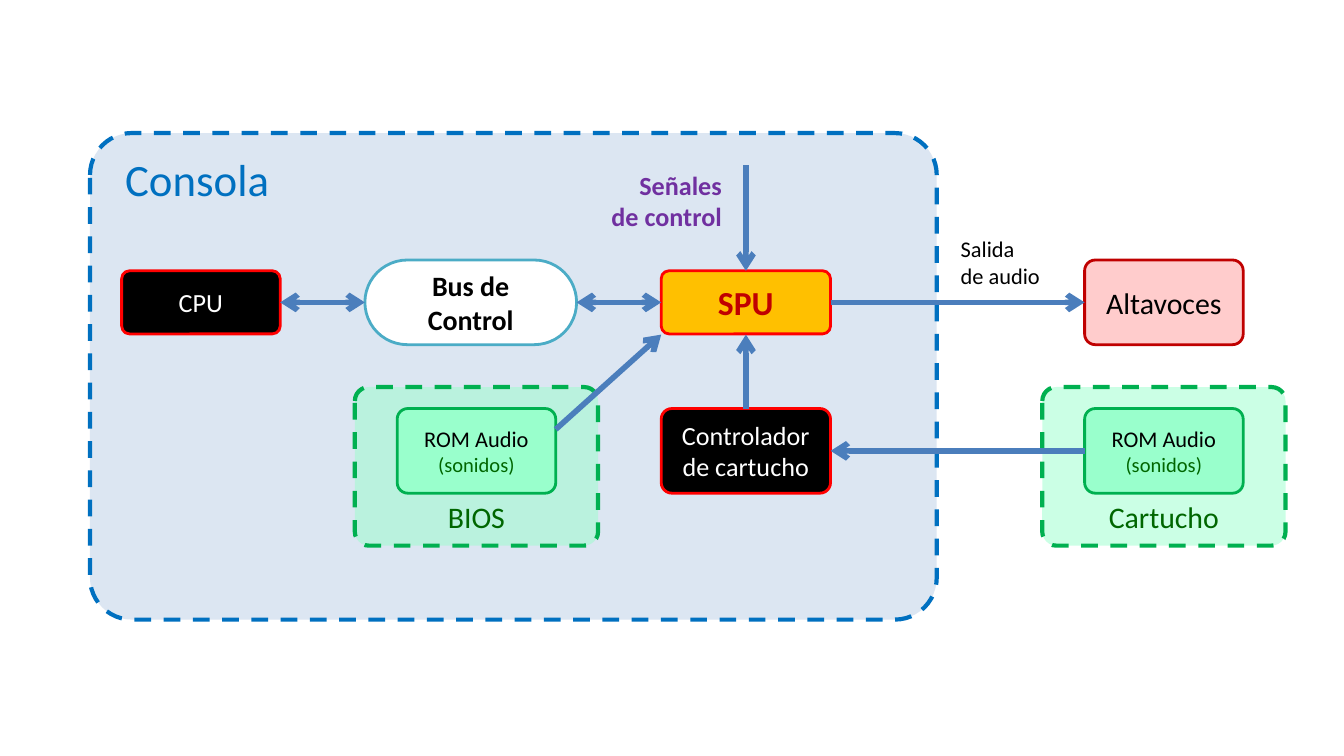
import pptx
import pptx.util
import pptx.oxml
from pptx.dml.color import RGBColor
from pptx.enum.dml import MSO_LINE
from pptx.enum.shapes import MSO_CONNECTOR, MSO_SHAPE
from pptx.enum.text import MSO_ANCHOR, MSO_AUTO_SIZE, PP_ALIGN
from pptx.oxml.ns import qn

PX = 4572  # 200 px to the inch
FONT = "Calibri"
BLACK = RGBColor(0x00, 0x00, 0x00)
WHITE = RGBColor(0xFF, 0xFF, 0xFF)
RED = RGBColor(0xFF, 0x00, 0x00)
DARK_RED = RGBColor(0xC0, 0x00, 0x00)
PINK = RGBColor(0xFF, 0xCC, 0xCC)
AMBER = RGBColor(0xFF, 0xC0, 0x00)
PURPLE = RGBColor(0x70, 0x30, 0xA0)
BLUE = RGBColor(0x00, 0x70, 0xC0)
PALE_BLUE = RGBColor(0xDC, 0xE6, 0xF2)
ARROW_BLUE = RGBColor(0x4B, 0x7E, 0xBC)
TEAL = RGBColor(0x4B, 0xAC, 0xC6)
GREEN = RGBColor(0x00, 0xB0, 0x50)
DARK_GREEN = RGBColor(0x00, 0x66, 0x00)
MINT = RGBColor(0x99, 0xFF, 0xCC)


def emu(*lengths):
    return [pptx.util.Emu(n * PX) for n in lengths]


def write(sp, lines, align, anchor, bold=False):
    """Fill a shape with paragraphs given as (text, size, colour)."""
    tf = sp.text_frame
    tf.word_wrap = True
    tf.vertical_anchor = anchor
    tf.text = "\n".join(text for text, _, _ in lines)
    for p, (_, size, color) in zip(tf.paragraphs, lines):
        p.alignment = align
        font = p.runs[0].font
        font.name, font.size, font.bold = FONT, pptx.util.Pt(size), bold
        font.color.rgb = color


def block(s, box, lines, fill, line, radius=0.125, bold=False,
          align=PP_ALIGN.CENTER, anchor=MSO_ANCHOR.MIDDLE, dashed=False):
    sp = s.shapes.add_shape(MSO_SHAPE.ROUNDED_RECTANGLE, *emu(*box))
    sp.adjustments[0] = radius
    sp.shadow.inherit = False
    sp.fill.solid()
    sp.fill.fore_color.rgb = fill
    sp.line.color.rgb = line
    sp.line.width = pptx.util.Pt(2.25 if dashed else 1.5)
    if dashed:
        sp.line.dash_style = MSO_LINE.DASH
    write(sp, lines, align, anchor, bold)
    return sp


def label(s, box, lines, align=PP_ALIGN.LEFT, bold=False):
    sp = s.shapes.add_textbox(*emu(*box))
    write(sp, lines, align, MSO_ANCHOR.TOP, bold)
    sp.text_frame.auto_size = MSO_AUTO_SIZE.SHAPE_TO_FIT_TEXT


def arrow(s, start, end, both=False):
    cn = s.shapes.add_connector(MSO_CONNECTOR.STRAIGHT, *emu(*start, *end))
    cn.line.color.rgb = ARROW_BLUE
    cn.line.width = pptx.util.Pt(3)
    ln = cn.line._get_or_add_ln()
    for tag in ("a:headEnd", "a:tailEnd") if both else ("a:tailEnd",):
        ln.append(ln.makeelement(qn(tag), {"type": "arrow"}))
    spPr = cn._element.spPr
    spPr.append(spPr.makeelement(qn("a:effectLst"), {}))


def rom_group(s, box, name):
    """Translucent dashed frame holding an audio ROM."""
    x, y, w, h = box
    sp = block(s, box, [(name, 16, DARK_GREEN)], MINT, GREEN, radius=0.088,
               anchor=MSO_ANCHOR.BOTTOM, dashed=True)
    clr = sp.fill._xPr.find(qn("a:solidFill"))[0]
    clr.append(clr.makeelement(qn("a:alpha"), {"val": "50000"}))
    block(s, (x + 63, y + 32, 236, 126),
          [("ROM Audio", 12, BLACK), ("(sonidos)", 11, DARK_GREEN)], MINT, GREEN)


def console(s, box):
    x, y, w, h = box
    mid = y + 252  # axis of the main row
    row_top, row_bottom = y + 205, y + 300
    spu_x, spu_w = x + 850, 252
    spu_mid = spu_x + spu_w // 2
    controller_top = y + 410
    sp = block(s, box, [("Consola", 24, BLUE)], PALE_BLUE, BLUE, radius=0.086,
               align=PP_ALIGN.LEFT, anchor=MSO_ANCHOR.TOP, dashed=True)
    sp.text_frame.margin_left = emu(34)[0]

    block(s, (x + 47, row_top, 236, 94), [("CPU", 14, WHITE)], BLACK, RED)
    block(s, (x + 409, y + 189, 315, 126), [("Bus de Control", 15, BLACK)],
          WHITE, TEAL, radius=0.5, bold=True)
    block(s, (spu_x, row_top, spu_w, 94), [("SPU", 18, DARK_RED)], AMBER, RED,
          bold=True)
    block(s, (spu_x, controller_top, spu_w, 126),
          [("Controlador de cartucho", 14, WHITE)], BLACK, RED)
    label(s, (x + 740, y + 44, 220, 114),
          [("Señales", 14, PURPLE), ("de control", 14, PURPLE)],
          align=PP_ALIGN.RIGHT, bold=True)
    rom_group(s, (x + 394, y + 378, 362, 236), "BIOS")

    arrow(s, (x + 283, mid), (x + 409, mid), both=True)
    arrow(s, (x + 724, mid), (spu_x, mid), both=True)
    arrow(s, (spu_mid, y + 48), (spu_mid, row_top))
    arrow(s, (spu_mid, controller_top), (spu_mid, row_bottom))
    arrow(s, (x + 693, y + 441), (spu_x, row_bottom))


def peripherals(s, box):
    """Speakers and cartridge, with their links to the console on the left."""
    x, y, w, h = box
    inner, port = x + 63, x - 315
    block(s, (inner, y, 236, 126), [("Altavoces", 16, BLACK)], PINK, DARK_RED)
    rom_group(s, (x, y + 189, w, 236), "Cartucho")
    label(s, (x - 141, y - 47, 174, 100),
          [("Salida", 12, BLACK), ("de audio", 12, BLACK)])
    arrow(s, (port, y + 63), (inner, y + 63))
    arrow(s, (inner, y + 284), (port, y + 284))


def main():
    prs = pptx.Presentation()
    prs.slide_width, prs.slide_height = emu(2000, 1125)
    s = prs.slides.add_slide(prs.slide_layouts[6])
    console(s, (134, 198, 1260, 724))
    peripherals(s, (1551, 387, 362, 425))
    prs.save("out.pptx")


if __name__ == "__main__":
    main()
